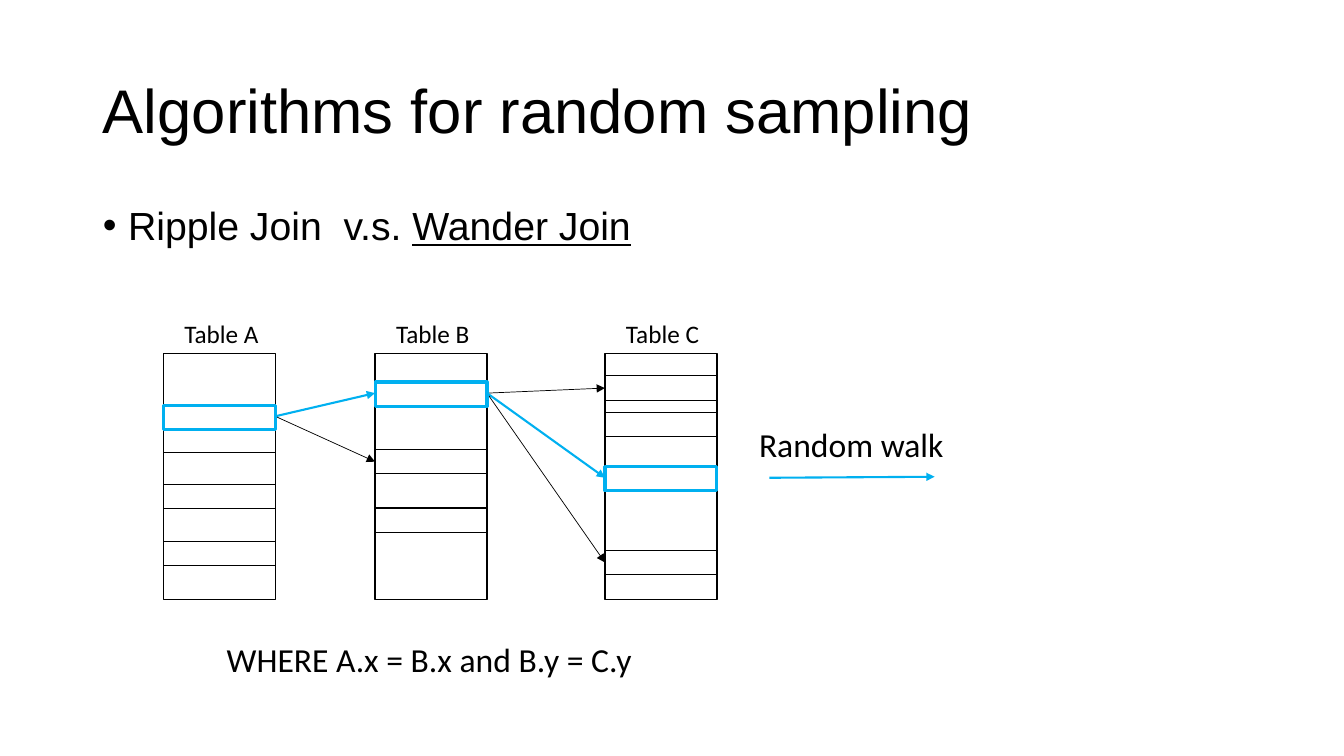
from dataclasses import dataclass

from lxml import etree
from pptx import Presentation
from pptx.dml.color import RGBColor
from pptx.enum import shapes as shp, text as txt
from pptx.oxml.ns import qn
from pptx.util import Inches, Pt


@dataclass(frozen=True)
class Theme:
    ink: RGBColor = RGBColor(0, 0, 0)
    paper: RGBColor = RGBColor(255, 255, 255)
    walk: RGBColor = RGBColor(0x00, 0xB0, 0xF0)
    head: str = "Arial"
    body: str = "Calibri"
    title: int = 44
    list: int = 28
    note: int = 24
    label: int = 18


THEME = Theme()
TOP, WIDTH, HEIGHT, ROW = 3.51, 1.11, 2.44, 0.24
# name, left edge, row tops, index of the row on the random walk
TABLES = [
    ("Table A", 1.62, [4.01, 4.25, 4.81, 5.37], 0),
    ("Table B", 3.72, [3.78, 4.46, 5.04], 0),
    ("Table C", 6, [3.73, 4.09, 4.62, 5.46], 2),
]
# from (table, row), to (table, row)
JOINS = [
    ((0, 0), (1, 0)),
    ((0, 0), (1, 1)),
    ((1, 0), (2, 0)),
    ((1, 0), (2, 2)),
    ((1, 0), (2, 3)),
]


def style(item, form):
    for key, value in form.items():
        setattr(item, key, value)


def font(run, name, size, **more):
    style(run.font, {"name": name, "size": Pt(size), **more})
    run.font.color.rgb = THEME.ink


def place(item, left, top, width, height):
    style(item, {"left": Inches(left), "top": Inches(top),
                 "width": Inches(width), "height": Inches(height)})


def add_title(slide, words):
    title = slide.shapes.title
    place(title, 0.92, 0.4, 11.5, 1.45)
    title.text_frame.vertical_anchor = txt.MSO_ANCHOR.MIDDLE
    para = title.text_frame.paragraphs[0]
    style(para, {"alignment": txt.PP_ALIGN.LEFT, "line_spacing": 0.9})
    run = para.add_run()
    run.text = words
    font(run, THEME.head, THEME.title)


def add_list(slide, parts):
    """Fill the body with one bullet made of (words, underline) parts."""
    body = slide.placeholders[1]
    place(body, 0.92, 2, 11.5, 4.76)
    para = body.text_frame.paragraphs[0]
    props = para._p.get_or_add_pPr()
    props.set("marL", str(Inches(0.25)))
    props.set("indent", str(Inches(-0.25)))
    etree.SubElement(props, qn("a:buChar")).set("char", "•")
    style(para, {"line_spacing": 0.9, "space_before": Pt(0)})
    for words, under in parts:
        run = para.add_run()
        run.text = words
        font(run, THEME.head, THEME.list, underline=under)


def add_text(slide, words, size, left, top, width, height, wrap=False):
    box = slide.shapes.add_textbox(0, 0, 0, 0)
    place(box, left, top, width, height)
    style(box.text_frame, {"word_wrap": wrap,
                           "auto_size": txt.MSO_AUTO_SIZE.SHAPE_TO_FIT_TEXT})
    run = box.text_frame.paragraphs[0].add_run()
    run.text = words
    font(run, THEME.body, size)


def add_rect(slide, left, top, height, color, weight, fill=None):
    rect = slide.shapes.add_shape(
        shp.MSO_SHAPE.RECTANGLE, Inches(left), Inches(top),
        Inches(WIDTH), Inches(height))
    rect.shadow.inherit = False
    if fill is None:
        rect.fill.background()
    else:
        rect.fill.solid()
        rect.fill.fore_color.rgb = fill
    rect.line.color.rgb = color
    rect.line.width = Pt(weight)
    return rect


def add_arrow(slide, start, end, walk):
    ends = [Inches(n) for n in (*start, *end)]
    arrow = slide.shapes.add_connector(shp.MSO_CONNECTOR.STRAIGHT, *ends)
    arrow.line.color.rgb = THEME.walk if walk else THEME.ink
    arrow.line.width = Pt(1.5 if walk else 0.5)
    tip = etree.SubElement(arrow.line._get_or_add_ln(), qn("a:tailEnd"))
    tip.set("type", "triangle")
    etree.SubElement(arrow._element.spPr, qn("a:effectLst"))
    return arrow


def add_table_box(slide, name, left, tops):
    """Draw a labelled table outline and return its row shapes."""
    add_rect(slide, left, TOP, HEIGHT, THEME.ink, 1, THEME.paper)
    add_text(slide, name, THEME.label, left + 0.11, TOP - 0.4, 0.95, 0.4)
    return [add_rect(slide, left, top, ROW, THEME.ink, 0.75) for top in tops]


def add_join(slide, start, end, walk):
    arrow = add_arrow(slide, (0, 0), (1, 1), walk)
    arrow.begin_connect(start, 3)
    arrow.end_connect(end, 1)


def main():
    deck = Presentation()
    style(deck, {"slide_width": Inches(13.33), "slide_height": Inches(7.5)})
    slide = deck.slides.add_slide(deck.slide_layouts[1])
    add_title(slide, "Algorithms for random sampling")
    add_list(slide, [("Ripple Join  v.s. ", False), ("Wander Join", True)])

    rows = [add_table_box(slide, name, left, tops)
            for name, left, tops, _ in TABLES]
    picks = [pick for *_, pick in TABLES]
    for (src, a), (dst, b) in JOINS:
        walk = a == picks[src] and b == picks[dst]
        add_join(slide, rows[src][a], rows[dst][b], walk)
    for _, left, tops, pick in TABLES:
        add_rect(slide, left, tops[pick] + 0.01, ROW, THEME.walk, 2.25)

    add_text(slide, "WHERE A.x = B.x and B.y = C.y", THEME.note,
             2.15, 6.29, 4.25, 0.5)
    add_arrow(slide, (7.63, 4.74), (9.27, 4.73), True)
    add_text(slide, "Random walk", THEME.note, 7.43, 4.16, 2.04, 0.5, True)
    deck.save("out.pptx")


if __name__ == "__main__":
    main()
